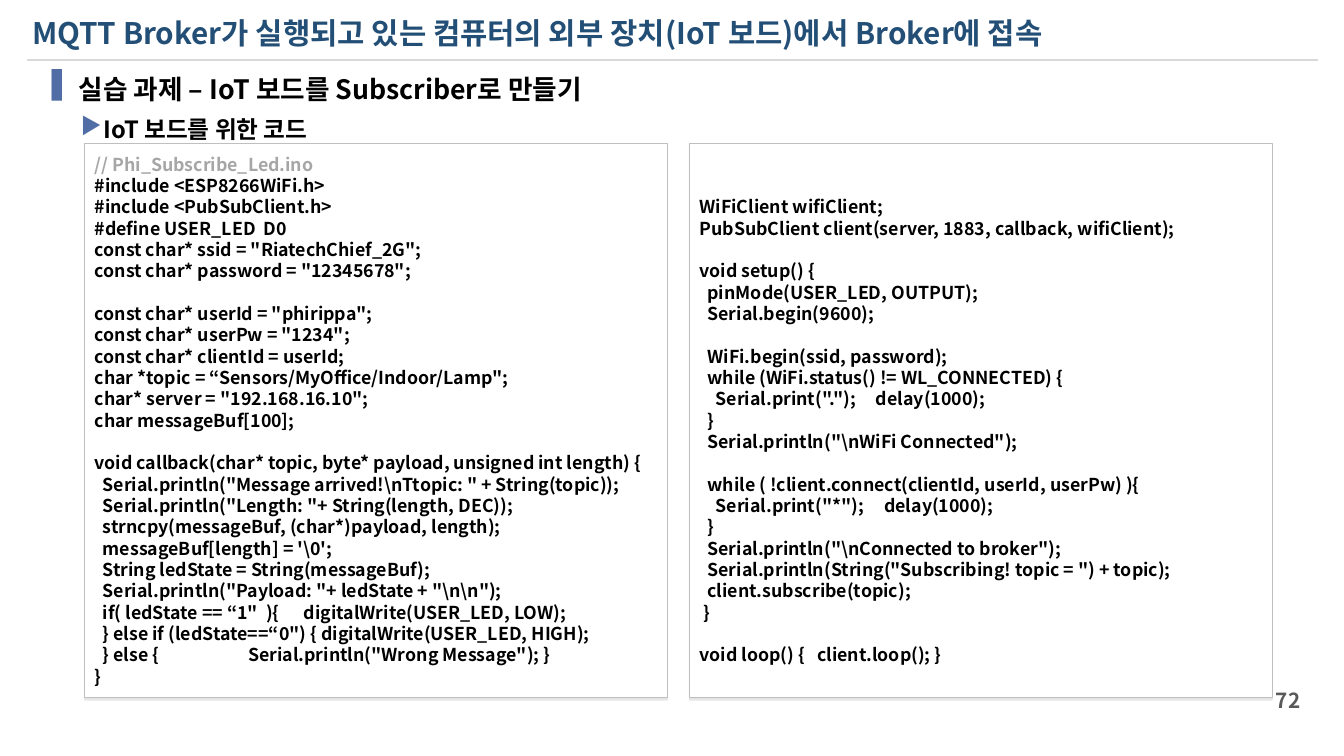
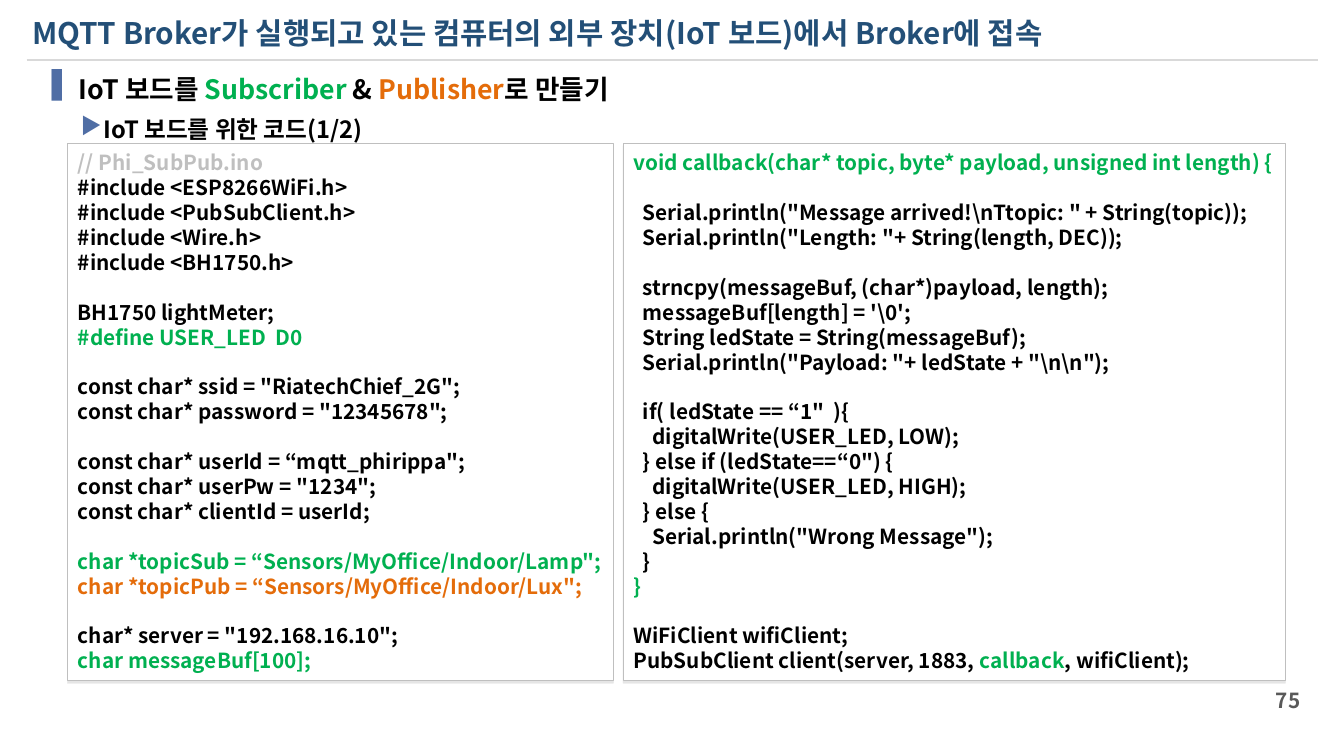
"""Build two slides of board code for an MQTT subscriber and publisher."""
from lxml import etree
from pptx import Presentation
from pptx.dml.color import RGBColor
from pptx.enum.shapes import MSO_CONNECTOR, MSO_SHAPE
from pptx.enum.text import MSO_ANCHOR as ANCHOR, MSO_AUTO_SIZE as AUTO, PP_ALIGN as ALIGN
from pptx.oxml.ns import qn
from pptx.util import Pt

FONT = "Noto Sans CJK KR"
LEADING = 1.2
COLORS = {
    "title": "234F77", "rule": "D9D9D9", "number": "595959", "bullet": "506EA5",
    "text": "000000", "sub": "00B050", "pub": "E46C0A", "box": "FFFFFF",
    "border": "BFBFBF", "comment": "A6A6A6", "pale": "BFBFBF",
}
TITLE = "MQTT Broker가 실행되고 있는 컴퓨터의 외부 장치(IoT 보드)에서 Broker에 접속"
BULLETS = [
    {"char": "▐", "size": 18, "left": 25.2, "hang": 25.2, "before": 0},
    {"char": "▶", "size": 16, "left": 41.8, "hang": 15.1, "before": 7},
]

SUBSCRIBE_SETTINGS = [
    [("// Phi_Subscribe_Led.ino", "comment")],
    "#include <ESP8266WiFi.h>",
    "#include <PubSubClient.h>",
    "#define USER_LED  D0",
    'const char* ssid = "RiatechChief_2G";',
    'const char* password = "12345678";',
    "",
    'const char* userId = "phirippa";',
    'const char* userPw = "1234";',
    "const char* clientId = userId;",
    'char *topic = “Sensors/MyOffice/Indoor/Lamp";',
    'char* server = "192.168.16.10";',
    "char messageBuf[100];",
    "",
    "void callback(char* topic, byte* payload, unsigned int length) {",
    r'  Serial.println("Message arrived!\nTtopic: " + String(topic));',
    '  Serial.println("Length: "+ String(length, DEC));',
    "  strncpy(messageBuf, (char*)payload, length);",
    r"  messageBuf[length] = '\0';",
    "  String ledState = String(messageBuf);",
    r'  Serial.println("Payload: "+ ledState + "\n\n");',
    '  if( ledState == “1"  ){      digitalWrite(USER_LED, LOW);',
    '  } else if (ledState==“0") { digitalWrite(USER_LED, HIGH);',
    '  } else {                      Serial.println("Wrong Message"); }',
    "}",
]
SUBSCRIBE_SETUP = [
    "",
    "WiFiClient wifiClient;",
    "PubSubClient client(server, 1883, callback, wifiClient);",
    "",
    "void setup() {",
    "  pinMode(USER_LED, OUTPUT);",
    "  Serial.begin(9600);",
    "",
    "  WiFi.begin(ssid, password);",
    "  while (WiFi.status() != WL_CONNECTED) {",
    '    Serial.print(".");     delay(1000);',
    "  }",
    r'  Serial.println("\nWiFi Connected");',
    "",
    "  while ( !client.connect(clientId, userId, userPw) ){",
    '    Serial.print("*");     delay(1000);',
    "  }",
    r'  Serial.println("\nConnected to broker");',
    '  Serial.println(String("Subscribing! topic = ") + topic);',
    "  client.subscribe(topic);",
    " }",
    "",
    "void loop() {   client.loop(); }",
]
SUBPUB_SETTINGS = [
    [("// Phi_SubPub.ino", "pale")],
    "#include <ESP8266WiFi.h>",
    "#include <PubSubClient.h>",
    "#include <Wire.h>",
    "#include <BH1750.h>",
    "",
    "BH1750 lightMeter;",
    [("#define USER_LED  D0", "sub")],
    "",
    'const char* ssid = "RiatechChief_2G";',
    'const char* password = "12345678";',
    "",
    'const char* userId = “mqtt_phirippa";',
    'const char* userPw = "1234";',
    "const char* clientId = userId;",
    "",
    [('char *topicSub = “Sensors/MyOffice/Indoor/Lamp";', "sub")],
    [('char *topicPub = “Sensors/MyOffice/Indoor/Lux";', "pub")],
    "",
    'char* server = "192.168.16.10";',
    [("char messageBuf[100];", "sub")],
]
SUBPUB_CALLBACK = [
    [("void callback(char* topic, byte* payload, unsigned int length) {", "sub")],
    "",
    r'  Serial.println("Message arrived!\nTtopic: " + String(topic));',
    '  Serial.println("Length: "+ String(length, DEC));',
    "",
    "  strncpy(messageBuf, (char*)payload, length);",
    r"  messageBuf[length] = '\0';",
    "  String ledState = String(messageBuf);",
    r'  Serial.println("Payload: "+ ledState + "\n\n");',
    "",
    '  if( ledState == “1"  ){',
    "    digitalWrite(USER_LED, LOW);",
    '  } else if (ledState==“0") {',
    "    digitalWrite(USER_LED, HIGH);",
    "  } else {",
    '    Serial.println("Wrong Message");',
    "  }",
    [("}", "sub")],
    "",
    "WiFiClient wifiClient;",
    [("PubSubClient client(server, 1883, ", "text"), ("callback", "sub"), (", wifiClient);", "text")],
]
SLIDES = [
    {"number": "72",
     "heads": ["실습 과제 – IoT 보드를 Subscriber로 만들기", "IoT 보드를 위한 코드"],
     "size": 12, "left": 56.9, "gap": 14.4, "height": 374.4,
     "boxes": [(393.8, SUBSCRIBE_SETTINGS), (393.8, SUBSCRIBE_SETUP)]},
    {"number": "75",
     "heads": [[("IoT 보드를 ", "text"), ("Subscriber", "sub"), (" & ", "text"),
                ("Publisher", "pub"), ("로 만들기", "text")], "IoT 보드를 위한 코드(1/2)"],
     "size": 14, "left": 45.4, "gap": 6.5, "height": 362.9,
     "boxes": [(368.6, SUBPUB_SETTINGS), (447.1, SUBPUB_CALLBACK)]},
]


def rgb(name):
    return RGBColor.from_string(COLORS[name])


def write(p, content, size, color="text", before=0, align=ALIGN.LEFT):
    """Fill a paragraph with a string or a list of (text, colour) runs."""
    p.alignment = align
    p.line_spacing = Pt(size * LEADING)
    p.space_before = Pt(before)
    for text, tint in [(content, color)] if isinstance(content, str) else content:
        r = p.add_run()
        r.text = text
        r.font.size = Pt(size)
        r.font.bold = True
        r.font.color.rgb = rgb(tint)
        r.font.name = FONT
        etree.SubElement(r.font._element, qn("a:ea"), typeface=FONT)


def paragraph(tf, index):
    return tf.add_paragraph() if index else tf.paragraphs[0]


def add_text(s, left, top, width, height, anchor=ANCHOR.TOP):
    tf = s.shapes.add_textbox(Pt(left), Pt(top), Pt(width), Pt(height)).text_frame
    tf.word_wrap = True
    tf.vertical_anchor = anchor
    return tf


def add_bullet(p, style):
    pPr = p._p.get_or_add_pPr()
    pPr.set("marL", str(Pt(style["left"])))
    pPr.set("indent", str(-Pt(style["hang"])))
    tint = etree.SubElement(pPr, qn("a:buClr"))
    etree.SubElement(tint, qn("a:srgbClr"), val=COLORS["bullet"])
    etree.SubElement(pPr, qn("a:buChar"), char=style["char"])


def add_frame(s, number):
    """Add the title, the rule below it and the slide number."""
    line = s.shapes.add_connector(MSO_CONNECTOR.STRAIGHT, Pt(18), Pt(40.3), Pt(889.9), Pt(40.3))
    line.line.color.rgb = rgb("rule")
    line.line.width = Pt(1.5)
    etree.SubElement(line._element.spPr, qn("a:effectLst"))
    title = s.shapes.title
    title.left, title.top, title.width, title.height = Pt(14.4), Pt(6.5), Pt(853.9), Pt(31.7)
    tf = title.text_frame
    tf.word_wrap = True
    tf.auto_size = AUTO.SHAPE_TO_FIT_TEXT
    tf.vertical_anchor = ANCHOR.TOP
    write(tf.paragraphs[0], TITLE, 20, "title")
    tf = add_text(s, 817.2, 459.4, 67.7, 27.4, ANCHOR.MIDDLE)
    write(tf.paragraphs[0], number, 14, "number", align=ALIGN.RIGHT)


def add_heads(s, heads):
    tf = add_text(s, 20.9, 45.4, 880.6, 137.5)
    for i, (content, style) in enumerate(zip(heads, BULLETS)):
        p = paragraph(tf, i)
        p.level = i
        add_bullet(p, style)
        write(p, content, style["size"], before=style["before"])


def add_code(s, left, width, height, lines, size):
    """Add a code box; an empty line becomes space of one line."""
    sp = s.shapes.add_shape(MSO_SHAPE.ROUNDED_RECTANGLE, Pt(left), Pt(96.5), Pt(width), Pt(height))
    sp.adjustments[0] = 0
    sp.fill.solid()
    sp.fill.fore_color.rgb = rgb("box")
    sp.line.color.rgb = rgb("border")
    sp.line.width = Pt(0.25)
    sp.shadow.inherit = False
    effects = sp._element.spPr.find(qn("a:effectLst"))
    shadow = etree.SubElement(effects, qn("a:outerShdw"), blurRad="0", dist=str(Pt(2)),
                              dir="5400000", algn="t", rotWithShape="0")
    tint = etree.SubElement(shadow, qn("a:srgbClr"), val="000000")
    etree.SubElement(tint, qn("a:alpha"), val="10000")
    tf = sp.text_frame
    tf.word_wrap = True
    tf.vertical_anchor = ANCHOR.MIDDLE
    tf.margin_right = 0
    gap = count = 0
    for content in lines:
        if not content:
            gap += size * LEADING
            continue
        if not count:
            tf.margin_top = Pt(3.6 + gap)
            gap = 0
        write(paragraph(tf, count), content, size, before=gap)
        gap = 0
        count += 1


def main():
    prs = Presentation()
    prs.slide_width, prs.slide_height = Pt(907.2), Pt(510.5)
    for data in SLIDES:
        s = prs.slides.add_slide(prs.slide_layouts[5])
        add_frame(s, data["number"])
        add_heads(s, data["heads"])
        left = data["left"]
        for width, lines in data["boxes"]:
            add_code(s, left, width, data["height"], lines, data["size"])
            left += width + data["gap"]
    prs.save("out.pptx")


if __name__ == "__main__":
    main()
